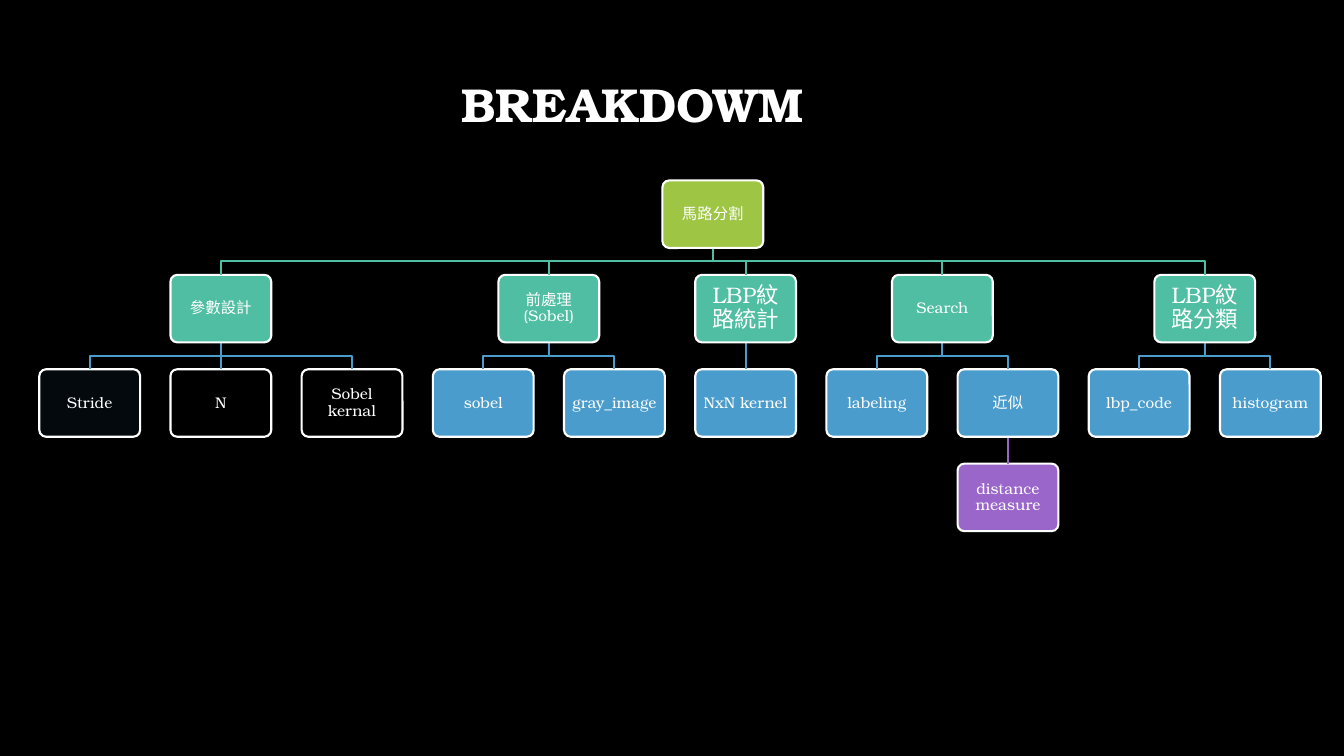
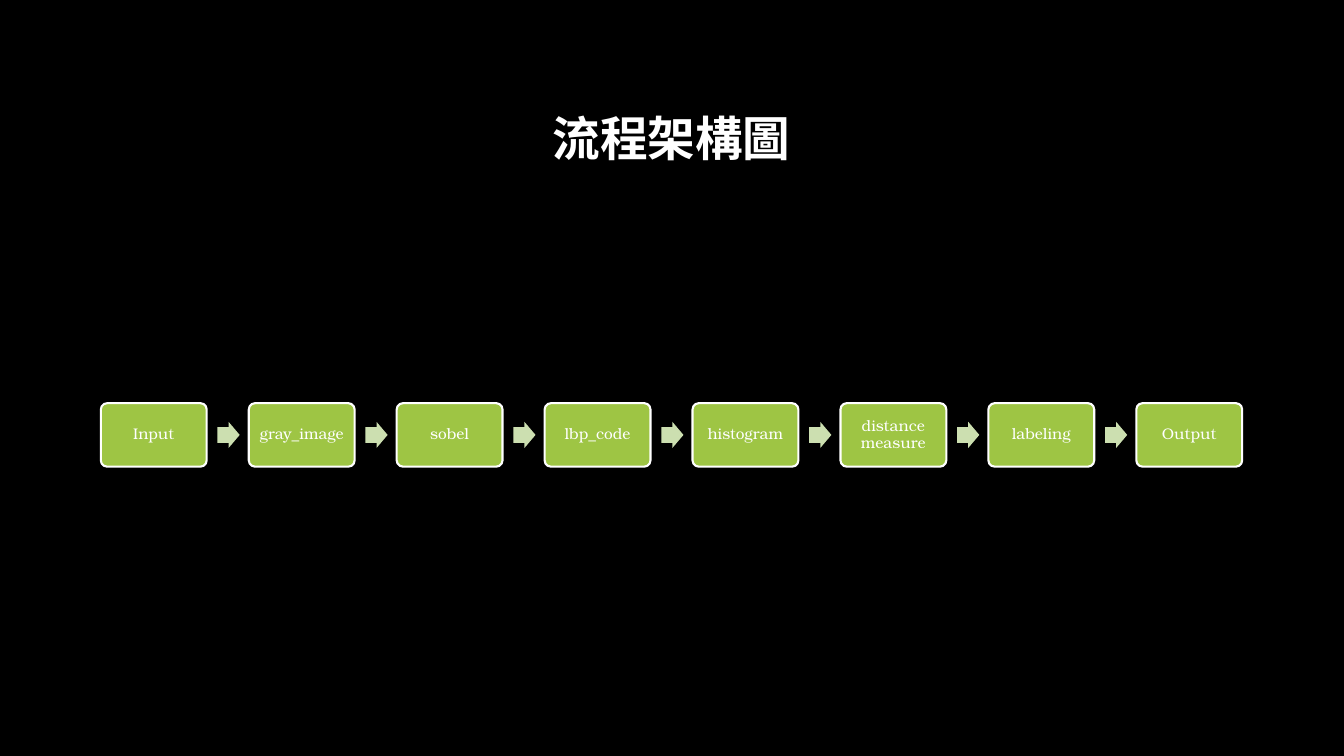
from itertools import count

from lxml import etree
from pptx import Presentation
from pptx.dml.color import RGBColor
from pptx.enum.shapes import MSO_CONNECTOR, MSO_SHAPE
from pptx.enum.text import MSO_ANCHOR, PP_ALIGN
from pptx.oxml.ns import qn
from pptx.util import Inches, Pt

ROUND_RECT = MSO_SHAPE.ROUNDED_RECTANGLE
RIGHT_ARROW = MSO_SHAPE.RIGHT_ARROW
STRAIGHT = MSO_CONNECTOR.STRAIGHT
CENTER = PP_ALIGN.CENTER
MIDDLE = MSO_ANCHOR.MIDDLE

FONT = "TeX Gyre Bonum"
BLACK, WHITE, NIGHT = "000000", "FFFFFF", "04090D"
GREEN, PALE_GREEN = "9EC544", "CCDFB0"
TEAL, BLUE, PURPLE = "50BEA3", "4A9CCC", "9A66CA"

LEVEL_COLORS = [GREEN, TEAL, BLUE, PURPLE]
NODE_FILLS = {"Stride": NIGHT, "N": BLACK, "Sobel kernal": BLACK}
LARGE_NODES = {"LBP紋路統計", "LBP紋路分類"}
TREE = ("馬路分割", [
    ("參數設計", [("Stride", []), ("N", []), ("Sobel kernal", [])]),
    ("前處理(Sobel)", [("sobel", []), ("gray_image", [])]),
    ("LBP紋路統計", [("NxN kernel", [])]),
    ("Search", [("labeling", []), ("近似", [("distance measure", [])])]),
    ("LBP紋路分類", [("lbp_code", []), ("histogram", [])]),
])
NODE_W, NODE_H = 1, 0.67
TREE_LEFT, TREE_TOP = 0.39, 1.79
COLUMN_STEP = (12.1 - TREE_LEFT) / 9
LEVEL_STEP = (4.6 - TREE_TOP) / 3

STEPS = ["Input", "gray_image", "sobel", "lbp_code", "histogram",
         "distance measure", "labeling", "Output"]
STEP_LEFT, STEP_TOP, STEP_W, STEP_H = 1, 4, 1.05, 0.63
STEP_PITCH = (11.27 - STEP_LEFT) / (len(STEPS) - 1)
ARROW_W, ARROW_H = 0.22, 0.26


def rgb(value):
    return RGBColor.from_string(value)


def write(shape, text, size=11, color=WHITE, bold=False, inset=None):
    tf = shape.text_frame
    tf.word_wrap = True
    tf.vertical_anchor = MIDDLE
    if inset is not None:
        tf.margin_left = tf.margin_right = Inches(inset)
        tf.margin_top = tf.margin_bottom = Inches(inset)
    p = tf.paragraphs[0]
    p.alignment = CENTER
    p.line_spacing = 0.9
    r = p.add_run()
    r.text = text
    r.font.name = FONT
    r.font.size = Pt(size)
    r.font.bold = bold
    r.font.color.rgb = rgb(color)


class Deck:
    def __init__(self):
        self.prs = Presentation()
        self.prs.slide_width = Inches(13.33)
        self.prs.slide_height = Inches(7.5)
        self.s = None

    def slide(self, title, left, top):
        self.s = self.prs.slides.add_slide(self.prs.slide_layouts[6])
        fill = self.s.background.fill
        fill.solid()
        fill.fore_color.rgb = rgb(BLACK)
        sp = self.s.shapes.add_textbox(
            Inches(left), Inches(top), Inches(11.32), Inches(1.45))
        write(sp, title, size=34, bold=True)

    def shape(self, kind, left, top, width, height, fill):
        sp = self.s.shapes.add_shape(
            kind, Inches(left), Inches(top), Inches(width), Inches(height))
        sp.shadow.inherit = False
        sp.fill.solid()
        sp.fill.fore_color.rgb = rgb(fill)
        sp.line.fill.background()
        return sp

    def box(self, text, left, top, width, height, fill, size=11, inset=0.05):
        sp = self.shape(ROUND_RECT, left, top, width, height, fill)
        sp.adjustments[0] = 0.1
        self.outline(sp, WHITE)
        write(sp, text, size=size, inset=inset)

    def arrow(self, left, top, width, height, fill):
        sp = self.shape(RIGHT_ARROW, left, top, width, height, fill)
        sp.adjustments[0] = 0.6
        sp.adjustments[1] = 0.5

    def link(self, x1, y1, x2, y2, color):
        if abs(x1 - x2) < 0.01:
            sp = self.s.shapes.add_connector(
                STRAIGHT, Inches(x1), Inches(y1), Inches(x1), Inches(y2))
            etree.SubElement(sp._element.spPr, qn("a:effectLst"))
        else:
            middle = (y1 + y2) / 2
            bends = [(x1, middle), (x2, middle), (x2, y2)]
            builder = self.s.shapes.build_freeform(Inches(x1), Inches(y1))
            builder.add_line_segments(
                [(Inches(x), Inches(y)) for x, y in bends], close=False)
            sp = builder.convert_to_shape()
            sp.shadow.inherit = False
            sp.fill.background()
        self.outline(sp, color)

    def outline(self, sp, color):
        sp.line.color.rgb = rgb(color)
        sp.line.width = Pt(1.5)

    def branch(self, node, columns, level=0):
        text, children = node
        centers = [self.branch(child, columns, level + 1) for child in children]
        if centers:
            center = (centers[0] + centers[-1]) / 2
        else:
            center = TREE_LEFT + NODE_W / 2 + COLUMN_STEP * next(columns)
        top = TREE_TOP + LEVEL_STEP * level
        for child_center in centers:
            self.link(center, top + NODE_H, child_center, top + LEVEL_STEP,
                      LEVEL_COLORS[level + 1])
        large = text in LARGE_NODES
        self.box(text, center - NODE_W / 2, top, NODE_W, NODE_H,
                 NODE_FILLS.get(text, LEVEL_COLORS[level]),
                 size=16 if large else 11, inset=0.07 if large else 0.05)
        return center


def main():
    deck = Deck()

    deck.slide("BREAKDOWM", 0.61, 0.34)
    deck.branch(TREE, count())

    deck.slide("流程架構圖", 1, 0.67)
    for i, step in enumerate(STEPS):
        left = STEP_LEFT + STEP_PITCH * i
        if i:
            deck.arrow(left - 0.31, STEP_TOP + (STEP_H - ARROW_H) / 2,
                       ARROW_W, ARROW_H, PALE_GREEN)
        deck.box(step, left, STEP_TOP, STEP_W, STEP_H, GREEN)

    deck.prs.save("out.pptx")


if __name__ == "__main__":
    main()
